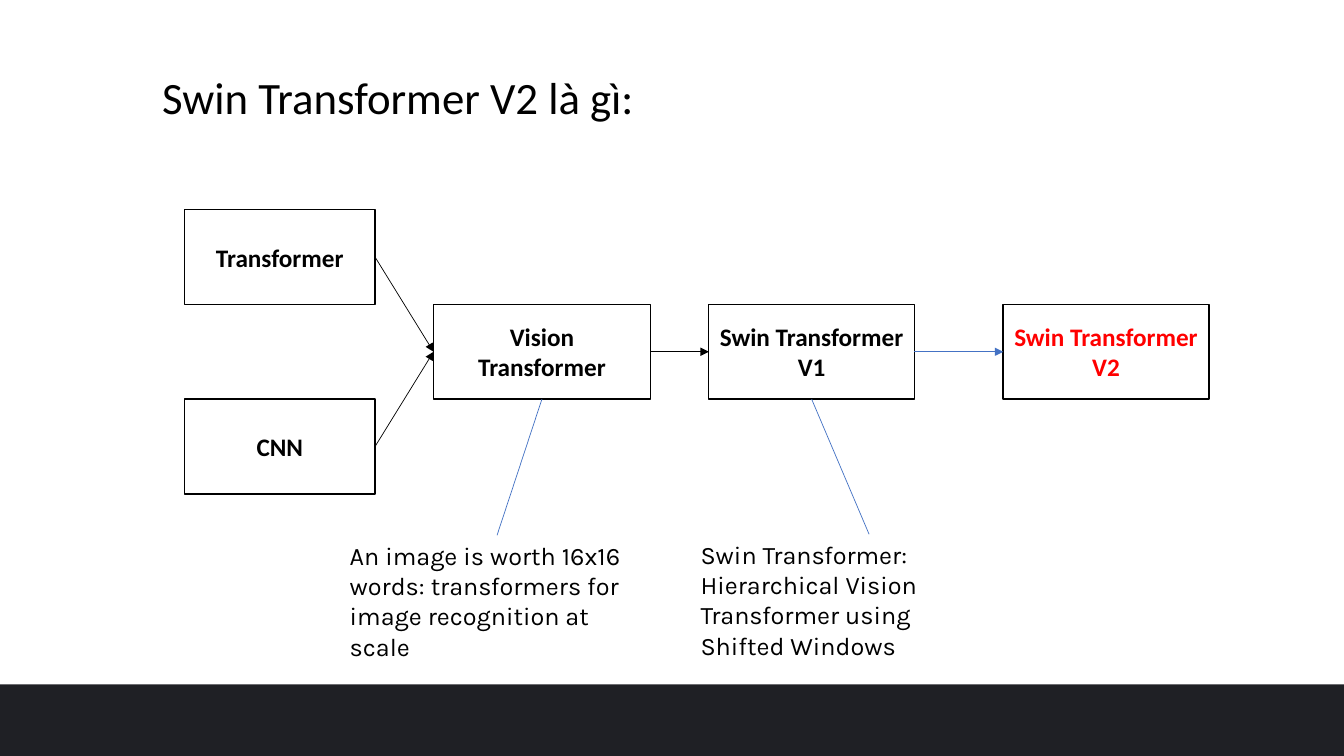
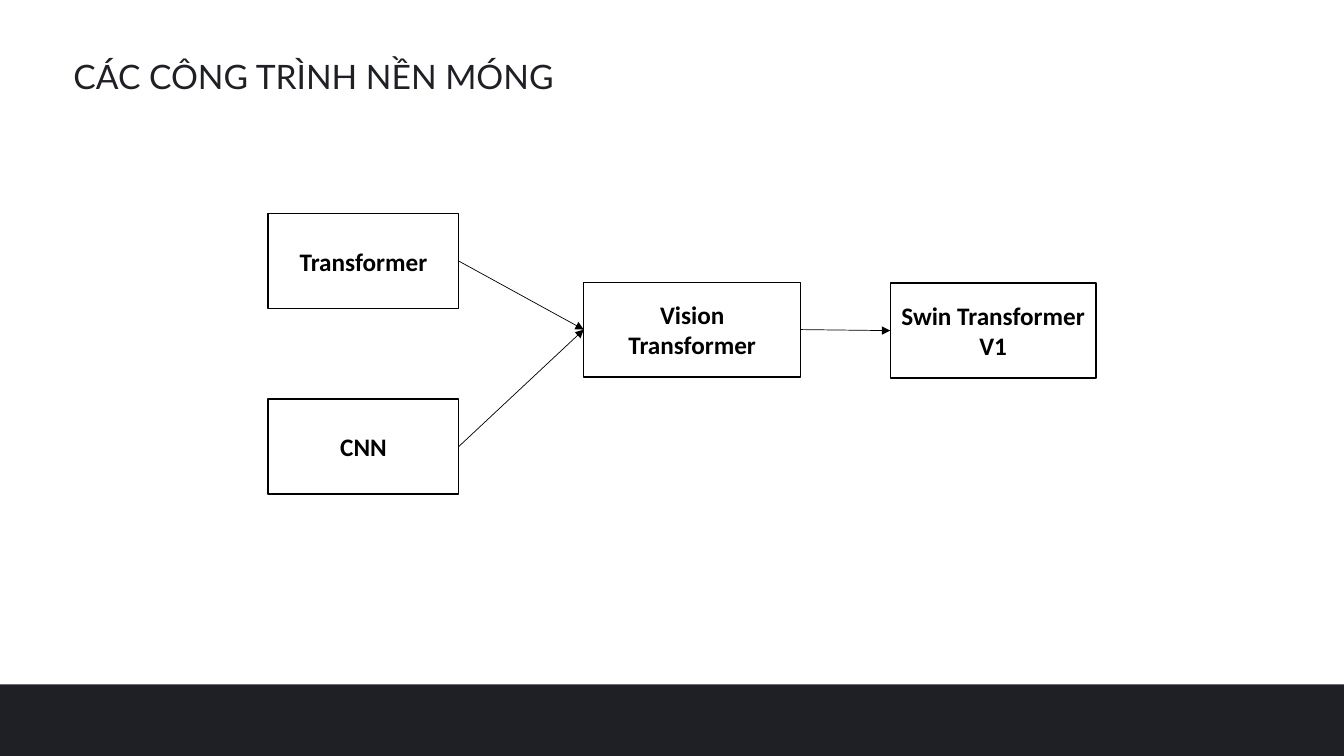
from dataclasses import dataclass

import pptx
import pptx.dml.color
import pptx.enum.shapes
import pptx.enum.text
import pptx.oxml.ns
import pptx.util
from lxml import etree

Inches = pptx.util.Inches
Pt = pptx.util.Pt
LEFT, BOTTOM, RIGHT = 1, 2, 3


def rgb(value):
    return pptx.dml.color.RGBColor.from_string(value)


@dataclass(frozen=True)
class Theme:
    paper: str = "FFFFFF"
    ink: str = "000000"
    dark: str = "1F2025"
    accent: str = "4472C4"
    highlight: str = "FF0000"
    box_font: str = "Calibri"
    caption_font: str = "Karla"
    heading_font: str = "Lato"
    body_size: int = 18
    heading_size: int = 24
    title_size: int = 32
    box_line: float = 1
    arrow_line: float = 0.5


class Deck:
    box_height = 0.94
    source_width = 1.89
    vision_width = 2.15
    swin_width = 2.04

    def __init__(self, theme):
        self.theme = theme
        self.prs = pptx.Presentation()
        self.prs.slide_width = Inches(13.33)
        self.prs.slide_height = Inches(7.5)
        self.s = None

    def slide(self):
        self.s = self.prs.slides.add_slide(self.prs.slide_layouts[6])
        self.rect(0, 6.79, 13.33, 0.71, self.theme.dark)

    def rect(self, x, y, w, h, fill):
        sp = self.s.shapes.add_shape(
            pptx.enum.shapes.MSO_SHAPE.RECTANGLE,
            Inches(x), Inches(y), Inches(w), Inches(h))
        sp.shadow.inherit = False
        sp.fill.solid()
        sp.fill.fore_color.rgb = rgb(fill)
        sp.line.fill.background()
        return sp

    def paragraph(self, p, text, font, size, color, bold=False):
        p.text = text
        p.font.name = font
        p.font.size = Pt(size)
        p.font.bold = bold
        p.font.color.rgb = rgb(color)

    def box(self, x, y, w, text, color=None):
        t = self.theme
        sp = self.rect(x, y, w, self.box_height, t.paper)
        sp.line.color.rgb = rgb(t.ink)
        sp.line.width = Pt(t.box_line)
        tf = sp.text_frame
        tf.word_wrap = True
        tf.vertical_anchor = pptx.enum.text.MSO_ANCHOR.MIDDLE
        p = tf.paragraphs[0]
        p.alignment = pptx.enum.text.PP_ALIGN.CENTER
        self.paragraph(p, text, t.box_font, t.body_size, color or t.ink, True)
        return sp

    def text(self, x, y, w, h, lines, font, size, color):
        tf = self.s.shapes.add_textbox(
            Inches(x), Inches(y), Inches(w), Inches(h)).text_frame
        tf.word_wrap = True
        for i, line in enumerate(lines):
            p = tf.add_paragraph() if i else tf.paragraphs[0]
            self.paragraph(p, line, font, size, color)

    def line(self, start, end, color):
        c = self.s.shapes.add_connector(
            pptx.enum.shapes.MSO_CONNECTOR.STRAIGHT, 0, 0, *end)
        c.begin_connect(*start)
        c.line.color.rgb = rgb(color)
        c.line.width = Pt(self.theme.arrow_line)
        etree.SubElement(c._element.spPr, pptx.oxml.ns.qn("a:effectLst"))
        return c

    def arrow(self, source, target, color=None):
        c = self.line((source, RIGHT), (0, 0), color or self.theme.ink)
        c.end_connect(target, LEFT)
        etree.SubElement(c.line._get_or_add_ln(),
                         pptx.oxml.ns.qn("a:tailEnd"), type="triangle")

    def caption(self, box, x, y, w, lines, foot_x):
        t = self.theme
        self.text(x, y, w, 1.01, lines, t.caption_font, t.body_size, t.ink)
        self.line((box, BOTTOM), (Inches(foot_x), Inches(y)), t.accent)

    def lineage(self, transformer, cnn, vision, swin):
        sources = [self.box(*transformer, self.source_width, "Transformer"),
                   self.box(*cnn, self.source_width, "CNN")]
        vit = self.box(*vision, self.vision_width, "Vision Transformer")
        swin_v1 = self.box(*swin, self.swin_width, "Swin Transformer V1")
        for source in sources:
            self.arrow(source, vit)
        self.arrow(vit, swin_v1)
        return vit, swin_v1


def main():
    t = Theme()
    deck = Deck(t)

    deck.slide()
    deck.text(1.51, 0.64, 10.46, 0.64, ["Swin Transformer V2 là gì:"],
              t.box_font, t.title_size, t.ink)
    vit, swin_v1 = deck.lineage((1.83, 2.08), (1.83, 3.96),
                                (4.3, 3.02), (7.03, 3.02))
    swin_v2 = deck.box(9.95, 3.02, deck.swin_width,
                       "Swin Transformer V2", t.highlight)
    deck.arrow(swin_v1, swin_v2, t.accent)
    deck.caption(vit, 3.37, 5.31, 3.11,
                 ["An image is worth 16x16 words: transformers for",
                  "image recognition at scale"], 4.93)
    deck.caption(swin_v1, 6.85, 5.3, 3.53,
                 ["Swin Transformer: Hierarchical Vision Transformer using",
                  "Shifted Windows"], 8.62)

    deck.slide()
    deck.text(0.63, 0.51, 5.82, 0.5, ["CÁC CÔNG TRÌNH NỀN MÓNG"],
              t.heading_font, t.heading_size, t.dark)
    deck.lineage((2.66, 2.12), (2.66, 3.96), (5.79, 2.8), (8.83, 2.81))

    deck.prs.save("out.pptx")


if __name__ == "__main__":
    main()
